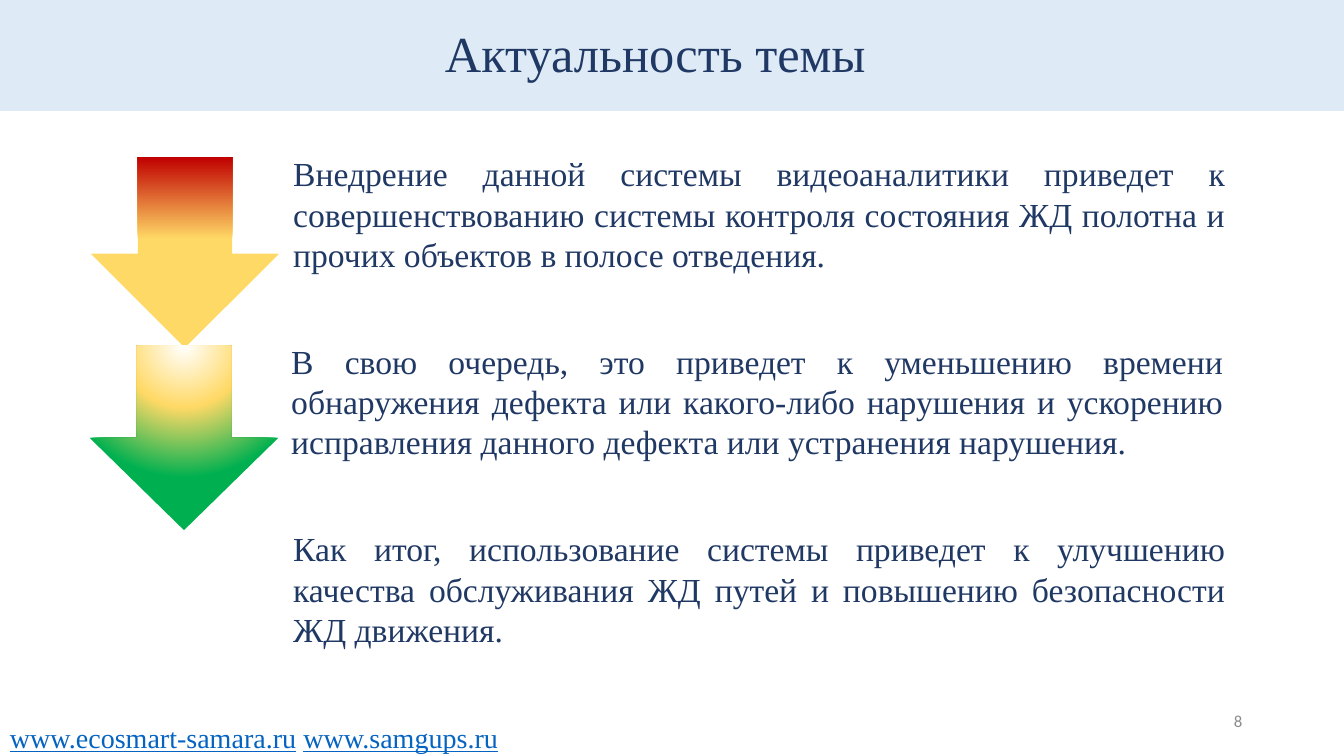
from lxml import etree
from pptx import Presentation
from pptx import util as u
from pptx.dml.color import RGBColor
from pptx.enum import shapes, text
from pptx.oxml import ns

NAVY = RGBColor(0x20, 0x38, 0x64)
PALE_BLUE = RGBColor(0xDE, 0xEB, 0xF7)
LINK_BLUE = RGBColor(0x05, 0x63, 0xC1)
GREY = RGBColor(0x8C, 0x8C, 0x8C)
WHITE = RGBColor(0xFF, 0xFF, 0xFF)
YELLOW = RGBColor(0xFF, 0xD9, 0x66)
RED = RGBColor(0xC0, 0x00, 0x00)
GREEN = RGBColor(0x00, 0xB0, 0x50)

ALIGN = text.PP_ALIGN
ANCHOR = text.MSO_ANCHOR


class SlideBuilder:
    """Holds the text style and the current page."""

    def __init__(self, page, font="Times New Roman", color=NAVY):
        self.page = page
        self.font = font
        self.color = color

    def fill_text(self, box, spans, size, para_format, anchor=ANCHOR.TOP, font=None):
        """Fill a box with one paragraph of (wording, colour, underline) spans."""
        frame = box.text_frame
        frame.word_wrap = True
        frame.vertical_anchor = anchor
        para = frame.paragraphs[0]
        for name, value in para_format.items():
            setattr(para, name, value)
        for wording, color, underline in spans:
            span = para.add_run()
            span.text = wording
            look = {"size": u.Pt(size), "name": font or self.font, "underline": underline}
            for name, value in look.items():
                setattr(span.font, name, value)
            span.font.color.rgb = color

    def title(self, wording, place):
        box = self.page.shapes.title
        for name, value in zip(("left", "top", "width", "height"), place):
            setattr(box, name, u.Inches(value))
        box.text_frame.auto_size = text.MSO_AUTO_SIZE.NONE
        self.fill_text(box, [(wording, self.color, None)], 36,
                       {"alignment": ALIGN.CENTER, "line_spacing": 0.9}, ANCHOR.MIDDLE)

    def textbox(self, spans, place, size, para_format, **options):
        box = self.page.shapes.add_textbox(*map(u.Inches, place))
        self.fill_text(box, spans, size, para_format, **options)
        return box

    def shape(self, kind, place):
        shape = self.page.shapes.add_shape(kind, *map(u.Inches, place))
        shape.shadow.inherit = False
        shape.line.fill.background()
        return shape

    def band(self, place, color):
        band = self.shape(shapes.MSO_SHAPE.RECTANGLE, place)
        band.fill.solid()
        band.fill.fore_color.rgb = color
        self.page.shapes._spTree.insert(2, band._element)  # behind the title

    def arrow(self, place, stops, direction, focus=None):
        """Down arrow with a gradient; direction is its tag and attributes."""
        arrow = self.shape(shapes.MSO_SHAPE.DOWN_ARROW, place)
        arrow.fill.background()
        gradient = etree.Element(ns.qn("a:gradFill"), rotWithShape="1")
        stop_list = etree.SubElement(gradient, ns.qn("a:gsLst"))
        for percent, color in stops:
            stop = etree.SubElement(stop_list, ns.qn("a:gs"), pos=str(percent * 1000))
            etree.SubElement(stop, ns.qn("a:srgbClr"), val=str(color))
        tag, attributes = direction
        course = etree.SubElement(gradient, ns.qn(tag), attributes)
        if focus:
            edges = {side: str(value * 1000) for side, value in zip("ltrb", focus)}
            etree.SubElement(course, ns.qn("a:fillToRect"), edges)
        properties = arrow._element.spPr
        properties.replace(properties.find(ns.qn("a:noFill")), gradient)


def main():
    deck = Presentation()
    deck.slide_width = u.Inches(13.33)
    deck.slide_height = u.Inches(7.5)
    builder = SlideBuilder(deck.slides.add_slide(deck.slide_layouts[5]))

    # Heading
    builder.band((0, 0, 13.33, 1.1), PALE_BLUE)
    builder.title("Актуальность темы", (0.75, 0.02, 11.5, 1.08))

    # Three statements
    statements = [
        (2.81, "Внедрение данной системы видеоаналитики приведет к совершенствованию "
               "системы контроля состояния ЖД полотна и прочих объектов в полосе отведения. "),
        (2.79, "В свою очередь, это приведет к уменьшению времени обнаружения дефекта или "
               "какого-либо нарушения и ускорению исправления данного дефекта или "
               "устранения нарушения."),
        (2.81, "Как итог, использование системы приведет к улучшению качества обслуживания "
               "ЖД путей и повышению безопасности ЖД движения."),
    ]
    for row, (left, wording) in enumerate(statements):
        box = builder.textbox([(wording, NAVY, None)], (left, 1.47 + row * 1.86, 9.44, 1.31),
                              24, {"alignment": ALIGN.JUSTIFY})
        box.text_frame.auto_size = text.MSO_AUTO_SIZE.SHAPE_TO_FIT_TEXT

    # Arrows from red through yellow to green
    builder.arrow((0.9, 1.56, 1.87, 1.89), [(57, YELLOW), (100, RED)],
                  ("a:lin", {"ang": str(270 * 60000), "scaled": "0"}))
    builder.arrow((0.89, 3.43, 1.87, 1.83), [(0, WHITE), (47, YELLOW), (100, GREEN)],
                  ("a:path", {"path": "circle"}), focus=(50, -80, 50, 180))

    # Page number and web addresses
    builder.textbox([("8", GREY, None)], (9.42, 6.95, 3, 0.4), 12,
                    {"alignment": ALIGN.RIGHT}, anchor=ANCHOR.MIDDLE, font="Calibri")
    builder.textbox([("www.ecosmart-samara.ru", LINK_BLUE, True), (" ", NAVY, False),
                     ("www.samgups.ru", LINK_BLUE, True)],
                    (0, 7.24, 7.12, 0.4), 20, {"line_spacing": 0.5})

    deck.save("out.pptx")


if __name__ == "__main__":
    main()
